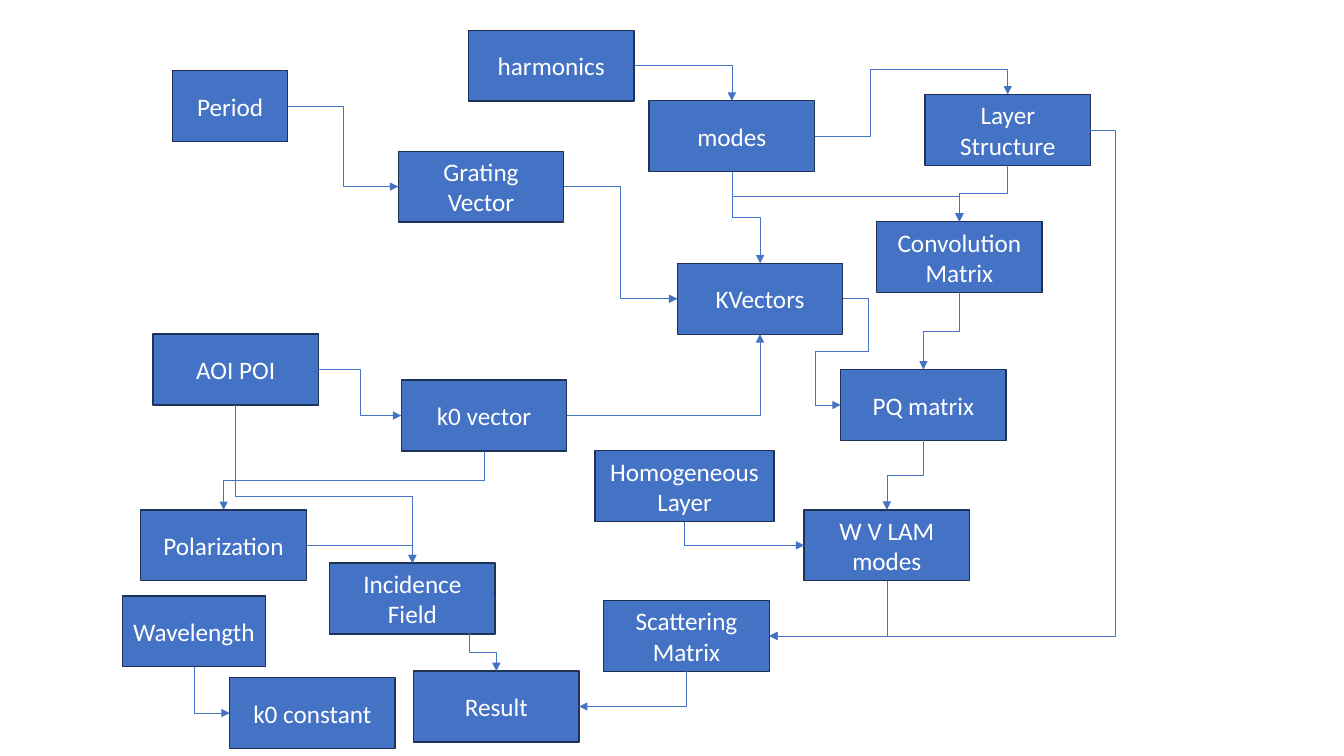
from dataclasses import dataclass
from enum import IntEnum

from lxml.etree import SubElement
from pptx import Presentation
from pptx.dml.color import RGBColor
from pptx.enum.shapes import MSO_CONNECTOR as Connector, MSO_SHAPE as Shape
from pptx.enum.text import MSO_ANCHOR as Anchor, PP_ALIGN as Align
from pptx.oxml.ns import qn
from pptx.util import Pt

BLUE, NAVY, WHITE = "4472C4", "1E3256", "FFFFFF"
STEP_HEIGHT = 50.65


class Side(IntEnum):
    """Connection sites of a rectangle."""
    TOP = 0
    LEFT = 1
    BOTTOM = 2
    RIGHT = 3


TOP, LEFT, BOTTOM, RIGHT = Side


@dataclass(frozen=True)
class Step:
    """A box of the flow; lengths in points."""
    label: str
    left: float
    top: float
    width: float = 118.2

    def site(self, side: Side) -> tuple[float, float]:
        """Return the middle of one side."""
        across = {LEFT: 0, RIGHT: 1}.get(side, 0.5)
        down = {TOP: 0, BOTTOM: 1}.get(side, 0.5)
        return self.left + across * self.width, self.top + down * STEP_HEIGHT


@dataclass(frozen=True)
class Flow:
    """An arrow between two steps; lanes are the places of its inner segments."""
    source: str
            
    exit: Side
    target: str
    entry: Side
    lanes: tuple[float, ...] = ()


STEPS = {
    "period": Step("Period", 123.2, 50.5, 82.4),
    "wavelength": Step("Wavelength", 87.3, 425.6, 102.3),
    "k0_vector": Step("k0 vector", 286.7, 271.5),
    "angles": Step("AOI POI", 109.3, 238.7),
    "k0_constant": Step("k0 constant", 164, 484),
    "grating": Step("Grating Vector", 284.5, 108),
    "polarization": Step("Polarization", 100.6, 364.2),
    "k_vectors": Step("KVectors", 483.8, 188.1),
    "harmonics": Step("harmonics", 334.7, 21.6),
    "modes": Step("modes", 463.7, 72),
    "layers": Step("Layer\nStructure", 660.8, 67.5),
    "convolution": Step("Convolution\nMatrix", 626.2, 158.3),
    "pq_matrix": Step("PQ matrix", 600.5, 264),
    "wv_modes": Step("W V LAM\nmodes", 574.4, 364.2),
    "homogeneous": Step("Homogeneous Layer", 425, 322, 128),
    "scattering": Step("Scattering Matrix", 431.3, 428.9),
    "incidence": Step("Incidence Field", 235.5, 402.2),
    "result": Step("Result", 295.5, 479.3),
}

FLOWS = [
    Flow("angles", RIGHT, "k0_vector", LEFT),
    Flow("wavelength", BOTTOM, "k0_constant", LEFT),
    Flow("k0_vector", BOTTOM, "polarization", TOP),
    Flow("period", RIGHT, "grating", LEFT),
    Flow("harmonics", RIGHT, "modes", TOP),
    Flow("grating", RIGHT, "k_vectors", LEFT),
    Flow("modes", BOTTOM, "k_vectors", TOP),
    Flow("modes", RIGHT, "layers", TOP, (621.5, 49.5)),
    Flow("layers", BOTTOM, "convolution", TOP),
    Flow("convolution", BOTTOM, "pq_matrix", TOP),
    Flow("modes", BOTTOM, "convolution", TOP),
    Flow("pq_matrix", BOTTOM, "wv_modes", TOP),
    Flow("k0_vector", RIGHT, "k_vectors", BOTTOM),
    Flow("k_vectors", RIGHT, "pq_matrix", LEFT, (620, 251.3, 582.5)),
    Flow("homogeneous", BOTTOM, "wv_modes", LEFT),
    Flow("wv_modes", BOTTOM, "scattering", RIGHT),
    Flow("layers", RIGHT, "scattering", RIGHT, (797,)),
    Flow("polarization", RIGHT, "incidence", TOP),
    Flow("angles", BOTTOM, "incidence", TOP, (354.3,)),
    Flow("scattering", BOTTOM, "result", RIGHT),
    Flow("incidence", RIGHT, "result", TOP, (335.5, 465.8)),
]


def color(hex_code: str) -> RGBColor:
    """Turn a hex string into a colour."""
    return RGBColor.from_string(hex_code)


def write(shape, text: str, *, size: float = 18, font: str = "Calibri",
          fill: str = WHITE, align=Align.CENTER, anchor=Anchor.MIDDLE) -> None:
    """Put formatted text in a shape, one paragraph a line."""
    frame = shape.text_frame
    frame.word_wrap = True
    frame.vertical_anchor = anchor
    frame.text = text
    for paragraph in frame.paragraphs:
        paragraph.alignment = align
        for run in paragraph.runs:
            run.font.size, run.font.name = Pt(size), font
            run.font.color.rgb = color(fill)


def draw_step(slide, step: Step):
    """Draw a step and return its rectangle."""
    box = slide.shapes.add_shape(Shape.RECTANGLE, Pt(step.left), Pt(step.top),
                                 Pt(step.width), Pt(STEP_HEIGHT))
    box.shadow.inherit = False
    box.fill.solid()
    box.fill.fore_color.rgb = color(BLUE)
    box.line.color.rgb = color(NAVY)
    box.line.width = Pt(1)
    write(box, step.label)
    return box


def route(arrow, flow: Flow) -> None:
    """Bend the arrow along its lanes, or halfway if both ends share an axis."""
    start = STEPS[flow.source].site(flow.exit)
    end = STEPS[flow.target].site(flow.entry)
    delta = [b - a for a, b in zip(start, end)]
    first = 1 if flow.exit in (TOP, BOTTOM) else 0
    lanes = flow.lanes
    if not lanes and flow.exit % 2 == flow.entry % 2:
        lanes = ((start[first] + end[first]) / 2,)

    width, height = abs(delta[first]), abs(delta[1 - first])
    arrow.left = Pt((start[0] + end[0] - width) / 2)
    arrow.top = Pt((start[1] + end[1] - height) / 2)
    arrow.width, arrow.height = Pt(width), Pt(height)

    properties = arrow._element.spPr
    turn = properties.find(qn("a:xfrm"))
    for name in ("flipH", "flipV"):
        turn.attrib.pop(name, None)
    if first:
        turn.set("rot", str((270 if delta[0] > 0 else 90) * 60000))
    if (delta[0] > 0) == bool(first):
        turn.set("flipH", "1")
    if not first and delta[1] < 0:
        turn.set("flipV", "1")

    geometry = properties.find(qn("a:prstGeom"))
    geometry.set("prst", f"bentConnector{len(lanes) + 2}")
    guides = geometry.find(qn("a:avLst"))
    for index, lane in enumerate(lanes):
        axis = (first + index) % 2
        share = round((lane - start[axis]) / delta[axis] * 100000)
        name = f"adj{index + 1}"
        SubElement(guides, qn("a:gd"), name=name, fmla=f"val {share}")


def draw_flow(slide, flow: Flow, boxes: dict) -> None:
    """Draw an arrow attached to its two steps."""
    arrow = slide.shapes.add_connector(Connector.ELBOW, 0, 0, 0, 0)
    arrow.begin_connect(boxes[flow.source], int(flow.exit))
    arrow.end_connect(boxes[flow.target], int(flow.entry))
    route(arrow, flow)
    arrow.line.color.rgb = color(BLUE)
    arrow.line.width = Pt(0.5)
    properties = arrow._element.spPr
    SubElement(properties.find(qn("a:ln")), qn("a:tailEnd"), type="triangle")
    SubElement(properties, qn("a:effectLst"))


def main() -> None:
    """Build the flow chart."""
    deck = Presentation()
    deck.slide_width, deck.slide_height = Pt(960), Pt(540)
    slide = deck.slides.add_slide(deck.slide_layouts[6])
    boxes = {key: draw_step(slide, step) for key, step in STEPS.items()}
    for flow in FLOWS:
        draw_flow(slide, flow, boxes)
    deck.save("out.pptx")


main()
